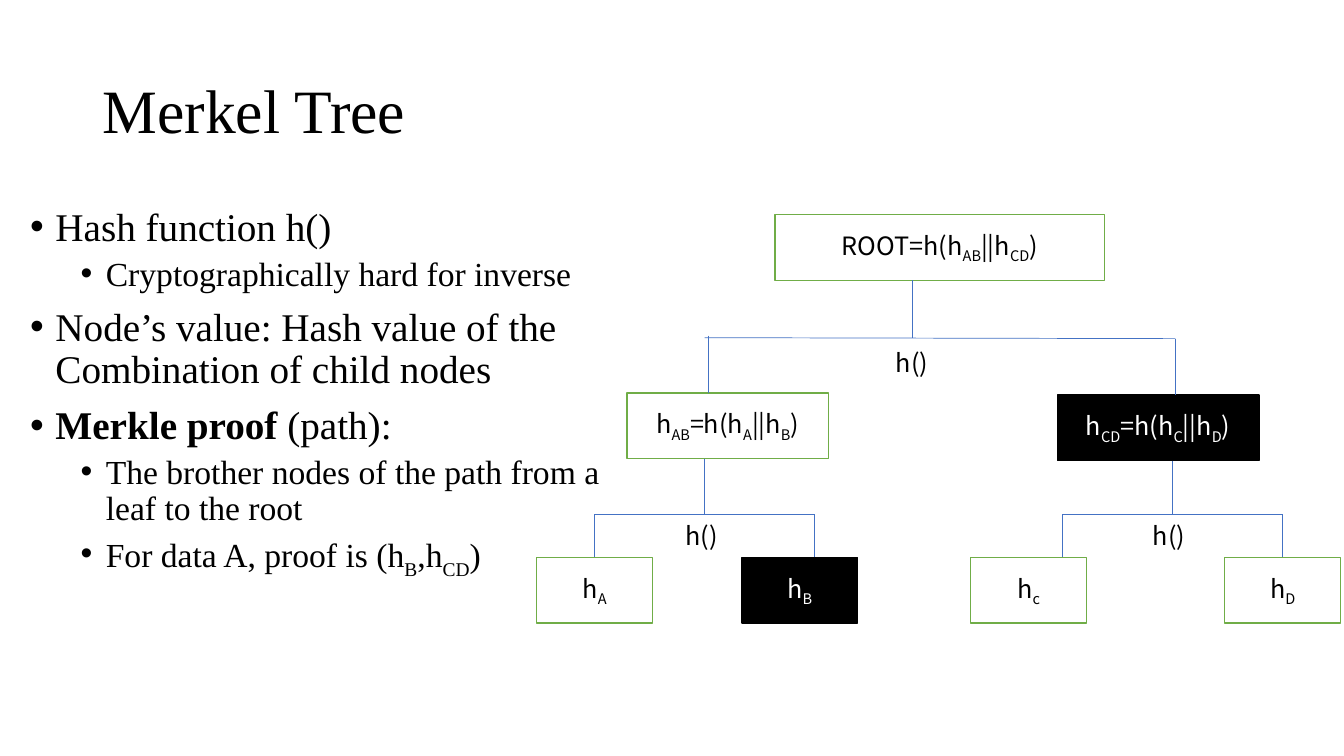
from dataclasses import dataclass

from lxml.etree import SubElement
from pptx import Presentation
from pptx.dml.color import RGBColor
from pptx.enum.shapes import MSO_CONNECTOR, MSO_SHAPE
from pptx.enum.text import MSO_ANCHOR, MSO_AUTO_SIZE, PP_ALIGN
from pptx.oxml.ns import qn
from pptx.util import Pt

RECTANGLE = MSO_SHAPE.RECTANGLE
STRAIGHT = MSO_CONNECTOR.STRAIGHT
MIDDLE, TOP = MSO_ANCHOR.MIDDLE, MSO_ANCHOR.TOP
LEFT, CENTER = PP_ALIGN.LEFT, PP_ALIGN.CENTER
NO_FIT, GROW = MSO_AUTO_SIZE.NONE, MSO_AUTO_SIZE.SHAPE_TO_FIT_TEXT


@dataclass(frozen=True)
class Theme:
    black: RGBColor = RGBColor(0, 0, 0)
    white: RGBColor = RGBColor(255, 255, 255)
    green: RGBColor = RGBColor(0x70, 0xAD, 0x47)
    blue: RGBColor = RGBColor(0x44, 0x72, 0xC4)
    serif: str = "Times New Roman"
    sans: str = "Noto Sans CJK SC"
    title_size: int = 44
    level_sizes: tuple = (28, 24)
    node_size: int = 18


THEME = Theme()

TITLE = "Merkel Tree"
TITLE_BOX = (66, 28.8, 828, 104.4)
BODY_BOX = (14.4, 144.7, 442, 342.7)

# Braces mark subscripts.
BULLETS = [
    (0, "", "Hash function h()"),
    (1, "", "Cryptographically hard for inverse"),
    (0, "", "Node’s value: Hash value of the Combination of child nodes"),
    (0, "Merkle proof ", "(path):"),
    (1, "", "The brother nodes of the path from a leaf to the root"),
    (1, "", "For data A, proof is (h{B},h{CD})"),
]
LEVEL_INDENTS = (18, 54)
LEVEL_GAPS = (10, 5)
HANGING = 18

NODE_HEIGHT = 46.8
LEAF_TOP, LEAF_WIDTH = 398.2, 82.8
BRANCH_WIDTH = 144
NODES = {
    "A": ("h{A}", 383.4, LEAF_TOP, LEAF_WIDTH, False),
    "B": ("h{B}", 529.9, LEAF_TOP, LEAF_WIDTH, True),
    "C": ("h{c}", 693.4, LEAF_TOP, LEAF_WIDTH, False),
    "D": ("h{D}", 874.8, LEAF_TOP, LEAF_WIDTH, False),
    "AB": ("h{AB}=h(h{A}||h{B})", 447.8, 280.8, BRANCH_WIDTH, False),
    "CD": ("h{CD}=h(h{C}||h{D})", 755.3, 282.2, BRANCH_WIDTH, True),
    "ROOT": ("ROOT=h(h{AB}||h{CD})", 553.7, 153.4, 235.4, False),
}

FORK_LABEL = "h()"
LABEL_SIZE = (82.8, 28.8)
FORKS = [
    {"parent": "AB", "stem": 503.3, "bar": (424.8, 367.2, 581.8, 367.2),
     "drops": [("A", 424.8, 367.2), ("B", 581.8, 367.2)], "label": (482.4, 367.9)},
    {"parent": "CD", "stem": 837.5, "bar": (758.9, 367.2, 916.2, 367.2),
     "drops": [("C", 758.9, 367.2), ("D", 916.2, 367.2)], "label": (816.5, 367.9)},
    {"parent": "ROOT", "stem": 651.6, "bar": (503.3, 241.2, 839.5, 241.9),
     "drops": [("AB", 506.2, 239.8), ("CD", 839.5, 241.9)], "label": (632.9, 244.8)},
]


def write(paragraph, text, *, font, size, color=THEME.black, bold=False, align=LEFT):
    paragraph.alignment = align
    for index, part in enumerate(text.replace("}", "{").split("{")):
        if not part:
            continue
        run = paragraph.add_run()
        run.text = part
        run.font.name = font
        run.font.size = Pt(size)
        run.font.bold = bold
        run.font.color.rgb = color
        if index % 2:
            run._r.get_or_add_rPr().set("baseline", "-25000")


def place(shape, box):
    shape.left, shape.top, shape.width, shape.height = map(Pt, box)


def fill_title(shape):
    place(shape, TITLE_BOX)
    frame = shape.text_frame
    frame.auto_size = NO_FIT
    frame.vertical_anchor = MIDDLE
    frame.paragraphs[0].line_spacing = 0.9
    write(frame.paragraphs[0], TITLE, font=THEME.serif, size=THEME.title_size)


def fill_body(shape):
    place(shape, BODY_BOX)
    frame = shape.text_frame
    frame.auto_size = NO_FIT
    frame.vertical_anchor = TOP
    for index, (level, lead, text) in enumerate(BULLETS):
        paragraph = frame.add_paragraph() if index else frame.paragraphs[0]
        properties = paragraph._p.get_or_add_pPr()
        properties.set("marL", str(Pt(LEVEL_INDENTS[level])))
        properties.set("indent", str(-Pt(HANGING)))
        SubElement(properties, qn("a:buFont")).set("typeface", "Arial")
        SubElement(properties, qn("a:buChar")).set("char", "•")
        paragraph.level = level
        paragraph.line_spacing = 0.9
        paragraph.space_before = Pt(LEVEL_GAPS[level] if index else 0)
        size = THEME.level_sizes[level]
        write(paragraph, lead, font=THEME.serif, size=size, bold=True)
        write(paragraph, text, font=THEME.serif, size=size)


def add_node(slide, text, left, top, width, proof):
    node = slide.shapes.add_shape(RECTANGLE, Pt(left), Pt(top), Pt(width), Pt(NODE_HEIGHT))
    node.shadow.inherit = False
    node.fill.solid()
    node.fill.fore_color.rgb = THEME.black if proof else THEME.white
    node.line.color.rgb = THEME.black if proof else THEME.green
    node.line.width = Pt(1)
    node.text_frame.vertical_anchor = MIDDLE
    write(node.text_frame.paragraphs[0], text, font=THEME.sans, size=THEME.node_size,
          color=THEME.white if proof else THEME.black, align=CENTER)
    return node


def add_line(slide, *ends):
    line = slide.shapes.add_connector(STRAIGHT, *map(Pt, ends))
    line.line.color.rgb = THEME.blue
    line.line.width = Pt(0.5)
    SubElement(line._element.spPr, qn("a:effectLst"))
    return line


def add_fork(slide, fork, nodes):
    left, bar_top, right, bar_end = fork["bar"]
    stem = fork["stem"]
    stem_top = NODES[fork["parent"]][2] + NODE_HEIGHT
    add_line(slide, left, bar_top, right, bar_end)
    add_line(slide, stem, stem_top, stem, bar_top)
    for child, x, top in fork["drops"]:
        child_left, child_top, child_width = NODES[child][1:4]
        drop = add_line(slide, x, top, x, child_top)
        if abs(child_left + child_width / 2 - x) < 0.01:
            drop.end_connect(nodes[child], 0)
    label = slide.shapes.add_textbox(*map(Pt, fork["label"] + LABEL_SIZE))
    label.text_frame.word_wrap = True
    label.text_frame.auto_size = GROW
    write(label.text_frame.paragraphs[0], FORK_LABEL, font=THEME.sans, size=THEME.node_size)


def main():
    presentation = Presentation()
    presentation.slide_width, presentation.slide_height = Pt(960), Pt(540)
    slide = presentation.slides.add_slide(presentation.slide_layouts[1])
    fill_title(slide.shapes.title)
    fill_body(slide.placeholders[1])
    nodes = {name: add_node(slide, *node) for name, node in NODES.items()}
    for fork in FORKS:
        add_fork(slide, fork, nodes)
    presentation.save("out.pptx")


if __name__ == "__main__":
    main()
